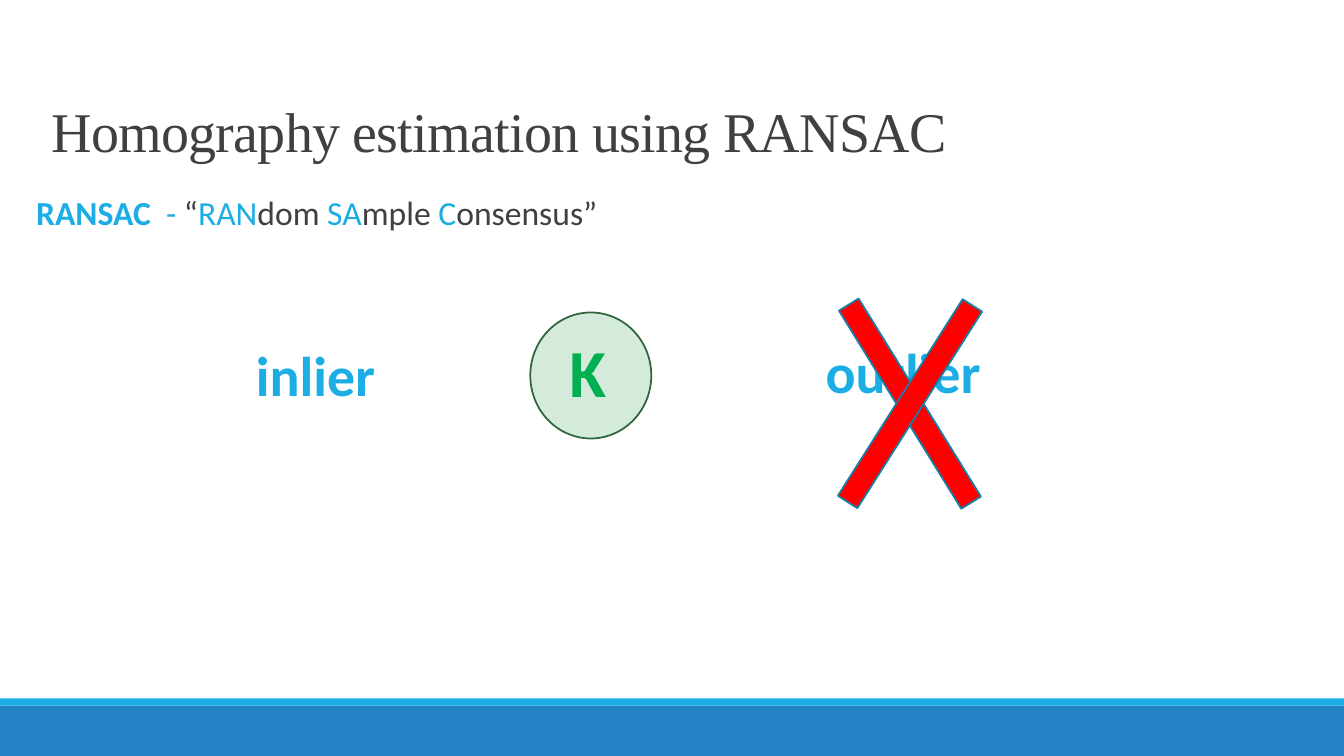
import pptx
import pptx.util
import pptx.dml.color
import pptx.enum.shapes
import pptx.enum.text

Inches = pptx.util.Inches
RGBColor = pptx.dml.color.RGBColor
SHAPES = pptx.enum.shapes.MSO_SHAPE

CYAN = RGBColor(0x1C, 0xAD, 0xE4)
BLUE = RGBColor(0x26, 0x83, 0xC6)
DARK_GREY = RGBColor(0x40, 0x40, 0x40)
GREEN = RGBColor(0x00, 0xB0, 0x50)
PALE_GREEN = RGBColor(0xD4, 0xEB, 0xDB)
DEEP_GREEN = RGBColor(0x2E, 0x65, 0x3D)
RED = RGBColor(0xFF, 0x00, 0x00)
TEAL = RGBColor(0x15, 0x80, 0xA9)

ACRONYM = [
    ("RANSAC", CYAN), (" ", CYAN), ("- ", CYAN), ("“", DARK_GREY),
    ("RAN", CYAN), ("dom ", DARK_GREY), ("SA", CYAN),
    ("mple ", DARK_GREY), ("C", CYAN), ("onsensus”", DARK_GREY),
]


def style_span(span, size, color, bold=False, name="Calibri", spacing=0):
    span.font.name = name
    span.font.size = pptx.util.Pt(size)
    span.font.bold = bold
    span.font.color.rgb = color
    if spacing:
        span.font._element.set("spc", str(int(spacing * 100)))


def add_block(page, kind, left, top, width, height, fill, line=None):
    block = page.shapes.add_shape(
        kind, Inches(left), Inches(top), Inches(width), Inches(height))
    block.shadow.inherit = False
    block.fill.solid()
    block.fill.fore_color.rgb = fill
    if line is None:
        block.line.fill.background()
    else:
        block.line.color.rgb = line
        block.line.width = pptx.util.Pt(1.25)
    return block


def add_text_box(page, left, top, width, height):
    box = page.shapes.add_textbox(
        Inches(left), Inches(top), Inches(width), Inches(height))
    box.text_frame.word_wrap = True
    return box.text_frame


def add_label(page, text, left, top, width, height, size, color):
    para = add_text_box(page, left, top, width, height).paragraphs[0]
    para.text = text
    style_span(para.runs[0], size, color, bold=True)


def add_footer(page, left, top, width):
    stripe = 0.07
    add_block(page, SHAPES.RECTANGLE, left, top + stripe, width, 0.5, BLUE)
    add_block(page, SHAPES.RECTANGLE, left, top, width, stripe, CYAN)


def set_title(page, left, top, width, height):
    title = page.shapes.title
    title.left, title.top = Inches(left), Inches(top)
    title.width, title.height = Inches(width), Inches(height)
    frame = title.text_frame
    frame.text = "Homography estimation using RANSAC"
    frame.word_wrap = True
    frame.auto_size = pptx.enum.text.MSO_AUTO_SIZE.NONE
    frame.vertical_anchor = pptx.enum.text.MSO_ANCHOR.BOTTOM
    frame.margin_left = Inches(0.23)
    frame.margin_bottom = Inches(0.59)
    para = frame.paragraphs[0]
    para.alignment = pptx.enum.text.PP_ALIGN.LEFT
    para.line_spacing = 0.85
    style_span(para.runs[0], 40, DARK_GREY, name="Times New Roman", spacing=-0.5)


def add_acronym(page, left, top, width, height):
    frame = add_text_box(page, left, top, width, height)
    frame.margin_left = frame.margin_right = 0
    para = frame.paragraphs[0]
    para.line_spacing = 0.9
    for text, color in ACRONYM:
        span = para.add_run()
        span.text = text
        style_span(span, 24, color, bold=text == "RANSAC",
                   spacing=5.4 if text == " " else 0)


def add_model(page, left, top, width, height):
    add_block(page, SHAPES.OVAL, left, top, width, height, PALE_GREEN, DEEP_GREEN)
    add_label(page, "K", left + 0.29, top + 0.13, 0.77, 0.91, 48, GREEN)


def add_outlier(page, left, top, width, height):
    add_label(page, "outlier", left, top, width, height, 40, CYAN)
    for angle in (58.3, 122.4):
        bar = add_block(page, SHAPES.RECTANGLE, left - 0.22, top + 0.59,
                        2.31, 0.23, RED, TEAL)
        bar.rotation = angle


def main():
    deck = pptx.Presentation()
    deck.slide_width, deck.slide_height = Inches(13.33), Inches(7.5)
    page = deck.slides.add_slide(deck.slide_layouts[5])
    add_footer(page, 0, 6.93, 13.33)
    set_title(page, 0.28, 0.63, 11, 1.59)
    add_acronym(page, 0.36, 1.9, 11.84, 0.63)
    add_label(page, "inlier", 2.44, 3.33, 1.7, 0.77, 40, CYAN)
    add_model(page, 5.26, 3.1, 1.2, 1.25)
    add_outlier(page, 8.09, 3.3, 2.16, 0.77)
    deck.save("out.pptx")


if __name__ == "__main__":
    main()
